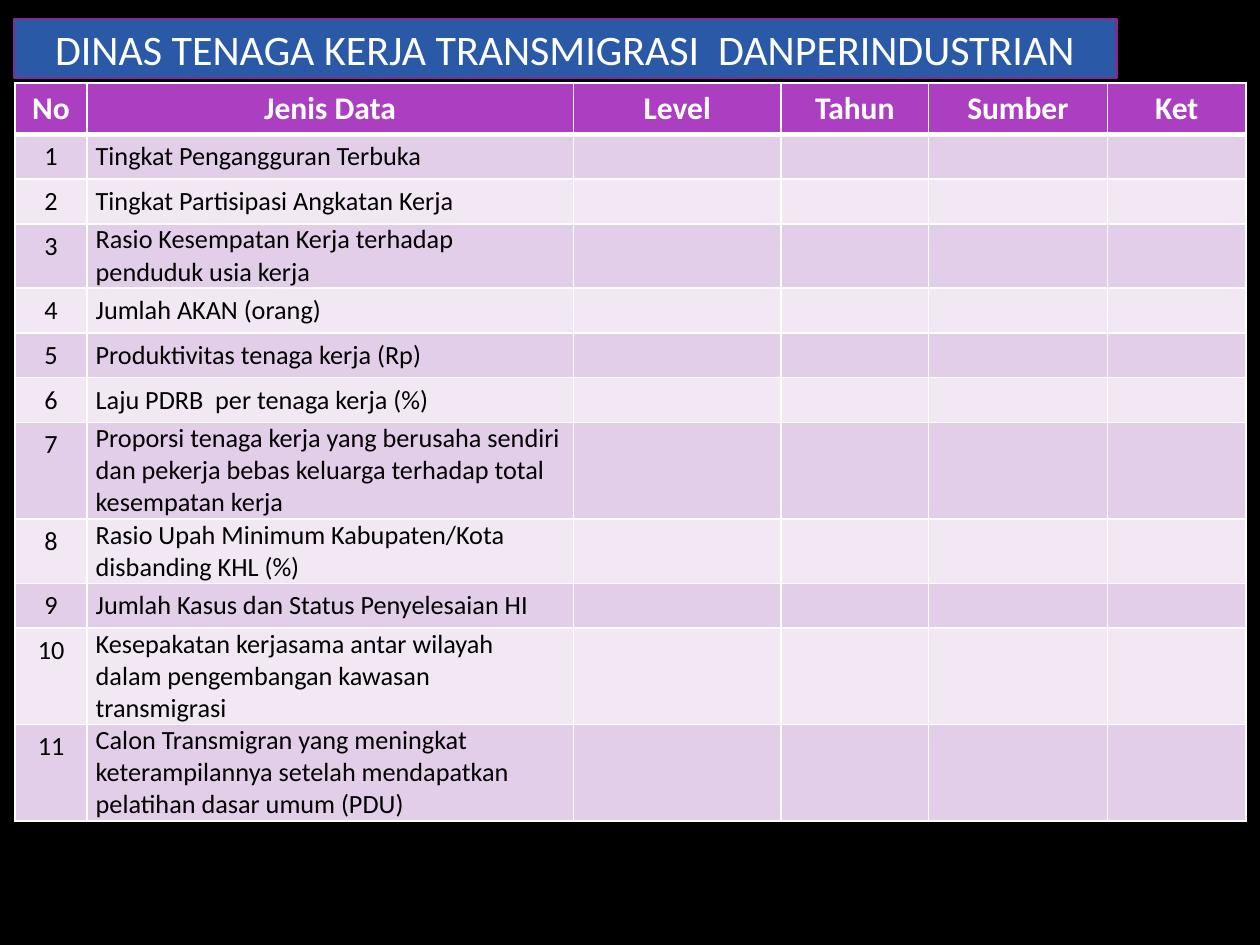
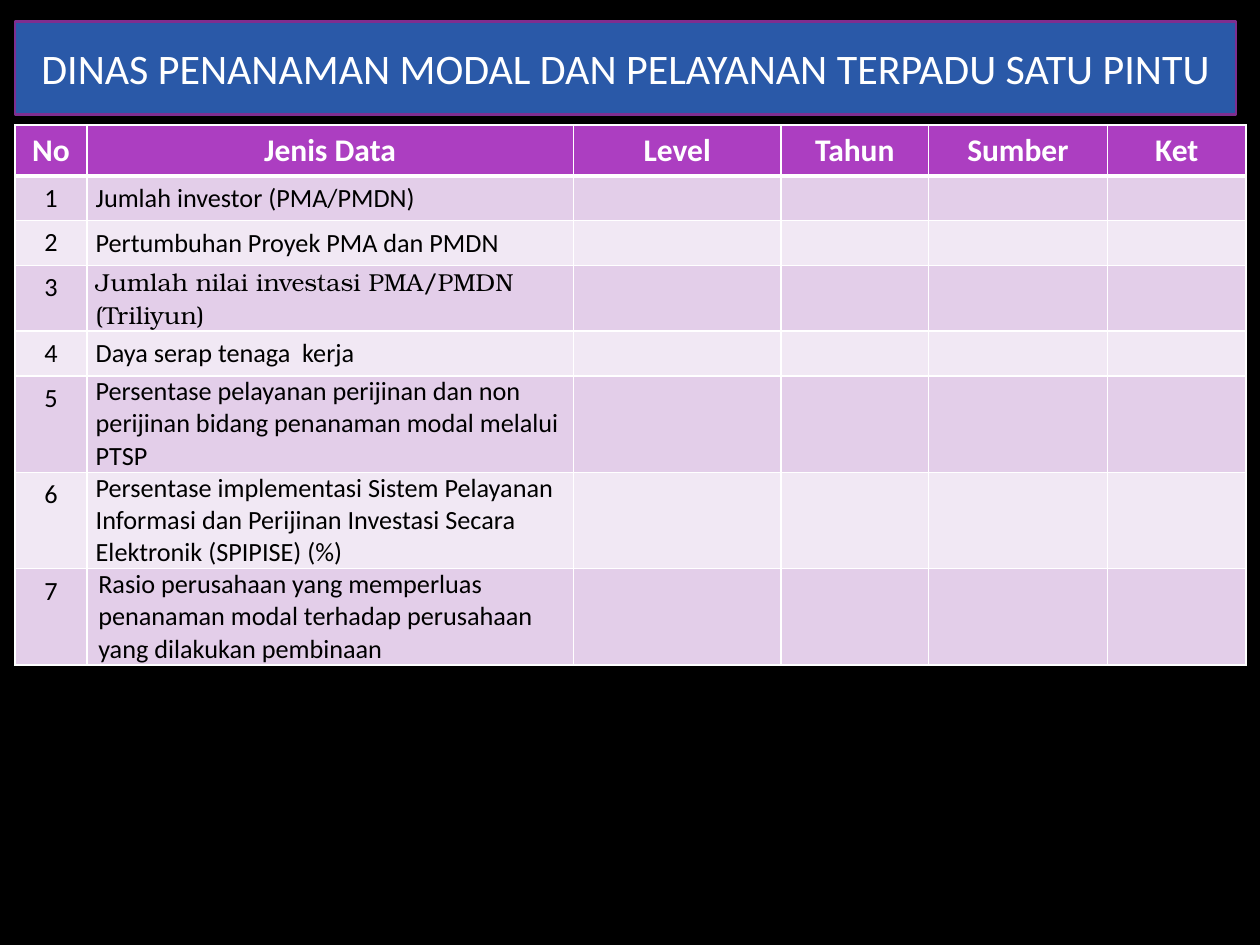
from dataclasses import dataclass

from lxml import etree
from pptx import Presentation
from pptx.dml.color import RGBColor
from pptx.enum.text import MSO_ANCHOR, MSO_AUTO_SIZE, PP_ALIGN
from pptx.oxml.ns import qn
from pptx.util import Inches, Pt

CENTER, LEFT = PP_ALIGN.CENTER, PP_ALIGN.LEFT
TOP, MIDDLE = MSO_ANCHOR.TOP, MSO_ANCHOR.MIDDLE
NO_AUTOFIT = MSO_AUTO_SIZE.NONE
TITLE_ONLY = 5


@dataclass(frozen=True)
class Theme:
    background: str = "000000"
    banner: str = "2A59A8"
    banner_line: str = "7F2E8F"
    header: str = "AC3EC1"
    bands: tuple = ("E3CEE9", "F1E8F4")
    light: str = "FFFFFF"
    dark: str = "000000"
    font: str = "Calibri"
    serif: str = "TeX Gyre Bonum"
    title_size: float = 24
    header_size: float = 18
    body_size: float = 15
    serif_size: float = 14
    grid_line: float = 1
    header_line: float = 3


THEME = Theme()
HEADINGS = ("No", "Jenis Data", "Level", "Tahun", "Sumber", "Ket")
COLUMN_WIDTHS = (0.57, 3.86, 1.65, 1.17, 1.42, 1.1)
HEADER_HEIGHT, ROW_HEIGHT = 0.36, 0.33
TABLE_LEFT = 0.12


@dataclass(frozen=True)
class Entry:
    """One data item, with the departures from the usual cell format."""
    text: str
    font: str = THEME.font
    size: float = THEME.body_size
    margin: float = 0.07
    indent: float = 0
    anchor: MSO_ANCHOR = MIDDLE


LABOUR = [
    Entry("Tingkat Pengangguran Terbuka"),
    Entry("Tingkat Partisipasi Angkatan Kerja"),
    Entry("Rasio Kesempatan Kerja terhadap penduduk usia kerja"),
    Entry("Jumlah AKAN (orang)"),
    Entry("Produktivitas tenaga kerja (Rp)"),
    Entry("Laju PDRB  per tenaga kerja (%)"),
    Entry("Proporsi tenaga kerja yang berusaha sendiri dan pekerja bebas "
          "keluarga terhadap total kesempatan kerja"),
    Entry("Rasio Upah Minimum Kabupaten/Kota disbanding KHL (%)"),
    Entry("Jumlah Kasus dan Status Penyelesaian HI"),
    Entry("Kesepakatan kerjasama antar wilayah dalam pengembangan kawasan "
          "transmigrasi"),
    Entry("Calon Transmigran yang meningkat keterampilannya setelah "
          "mendapatkan pelatihan dasar umum (PDU)"),
]
INVESTMENT = [
    Entry("Jumlah investor (PMA/PMDN)"),
    Entry("Pertumbuhan Proyek PMA dan PMDN"),
    Entry("Jumlah nilai investasi PMA/PMDN (Triliyun)",
          font=THEME.serif, size=THEME.serif_size),
    Entry("Daya serap tenaga  kerja"),
    Entry("Persentase pelayanan perijinan dan non perijinan bidang penanaman "
          "modal melalui PTSP"),
    Entry("Persentase implementasi Sistem Pelayanan Informasi dan Perijinan "
          "Investasi Secara Elektronik (SPIPISE) (%)"),
    Entry("Rasio perusahaan yang memperluas penanaman modal terhadap "
          "perusahaan yang dilakukan pembinaan",
          margin=0, indent=0.09, anchor=TOP),
]


def rgb(color):
    return RGBColor.from_string(color)


def write(paragraph, text, size, color, align=CENTER, font=THEME.font, bold=False):
    paragraph.alignment = align
    run = paragraph.add_run()
    run.text = text
    run.font.name, run.font.size, run.font.bold = font, Pt(size), bold
    run.font.color.rgb = rgb(color)


def place_banner(title, box, text):
    """Turn the title placeholder into the rounded banner."""
    title.left, title.top, title.width, title.height = map(Inches, box)
    outline = etree.Element(qn("a:prstGeom"), prst="roundRect")
    etree.SubElement(outline, qn("a:avLst"))
    title._element.spPr.find(qn("a:xfrm")).addnext(outline)
    title.fill.solid()
    title.fill.fore_color.rgb = rgb(THEME.banner)
    title.line.color.rgb = rgb(THEME.banner_line)
    title.line.width = Pt(1.5)
    frame = title.text_frame
    frame.word_wrap, frame.auto_size = True, NO_AUTOFIT
    frame.vertical_anchor = MIDDLE
    write(frame.paragraphs[0], text, THEME.title_size, THEME.light)


def paint_cell(cell, color, top=THEME.grid_line, bottom=THEME.grid_line):
    """Set borders and fill; the borders must precede the fill in the XML."""
    properties = cell._tc.get_or_add_tcPr()
    sides = {"L": THEME.grid_line, "R": THEME.grid_line, "T": top, "B": bottom}
    for side, width in sides.items():
        line = etree.SubElement(properties, qn(f"a:ln{side}"), w=str(Pt(width)))
        fill = etree.SubElement(line, qn("a:solidFill"))
        etree.SubElement(fill, qn("a:srgbClr"), val=THEME.light)
    cell.fill.solid()
    cell.fill.fore_color.rgb = rgb(color)


def fill_header(row):
    for cell, heading in zip(row.cells, HEADINGS):
        paint_cell(cell, THEME.header, bottom=THEME.header_line)
        write(cell.text_frame.paragraphs[0], heading, THEME.header_size,
              THEME.light, bold=True)


def fill_entry(row, number, entry):
    band = THEME.bands[(number - 1) % len(THEME.bands)]
    top = THEME.header_line if number == 1 else THEME.grid_line
    for cell in row.cells:
        paint_cell(cell, band, top=top)
    number_cell, data_cell, *empty_cells = row.cells
    write(number_cell.text_frame.paragraphs[0], str(number), THEME.body_size,
          THEME.dark)

    data_cell.vertical_anchor = entry.anchor
    data_cell.margin_left = data_cell.margin_right = Inches(entry.margin)
    data_cell.margin_top = data_cell.margin_bottom = 0
    paragraph = data_cell.text_frame.paragraphs[0]
    if entry.indent:
        properties = paragraph._p.get_or_add_pPr()
        properties.set("marL", str(Inches(entry.indent)))
        properties.set("indent", "0")
    write(paragraph, entry.text, entry.size, THEME.dark, LEFT, entry.font)

    for cell in empty_cells:
        etree.SubElement(cell.text_frame.paragraphs[0]._p, qn("a:endParaRPr"),
                         sz=str(int(THEME.body_size * 100)))


def add_data_table(slide, top, entries):
    height = HEADER_HEIGHT + ROW_HEIGHT * len(entries)
    table = slide.shapes.add_table(
        len(entries) + 1, len(HEADINGS), Inches(TABLE_LEFT), Inches(top),
        Inches(sum(COLUMN_WIDTHS)), Inches(height)).table
    table.first_row = table.horz_banding = False
    for column, width in zip(table.columns, COLUMN_WIDTHS):
        column.width = Inches(width)
    header, *rows = table.rows
    header.height = Inches(HEADER_HEIGHT)
    fill_header(header)
    for number, (row, entry) in enumerate(zip(rows, entries), 1):
        row.height = Inches(ROW_HEIGHT)
        fill_entry(row, number, entry)


def add_agency_slide(prs, title, banner_box, table_top, entries):
    slide = prs.slides.add_slide(prs.slide_layouts[TITLE_ONLY])
    place_banner(slide.shapes.title, banner_box, title)
    add_data_table(slide, table_top, entries)


def main():
    prs = Presentation()
    prs.slide_width, prs.slide_height = Inches(10), Inches(7.5)
    backdrop = prs.slide_master.background.fill
    backdrop.solid()
    backdrop.fore_color.rgb = rgb(THEME.background)
    add_agency_slide(prs, "DINAS TENAGA KERJA TRANSMIGRASI  DANPERINDUSTRIAN",
                     (0.11, 0.15, 8.75, 0.47), 0.66, LABOUR)
    add_agency_slide(prs, "DINAS PENANAMAN MODAL DAN PELAYANAN TERPADU SATU PINTU",
                     (0.12, 0.17, 9.69, 0.74), 0.99, INVESTMENT)
    prs.save("out.pptx")


if __name__ == "__main__":
    main()
